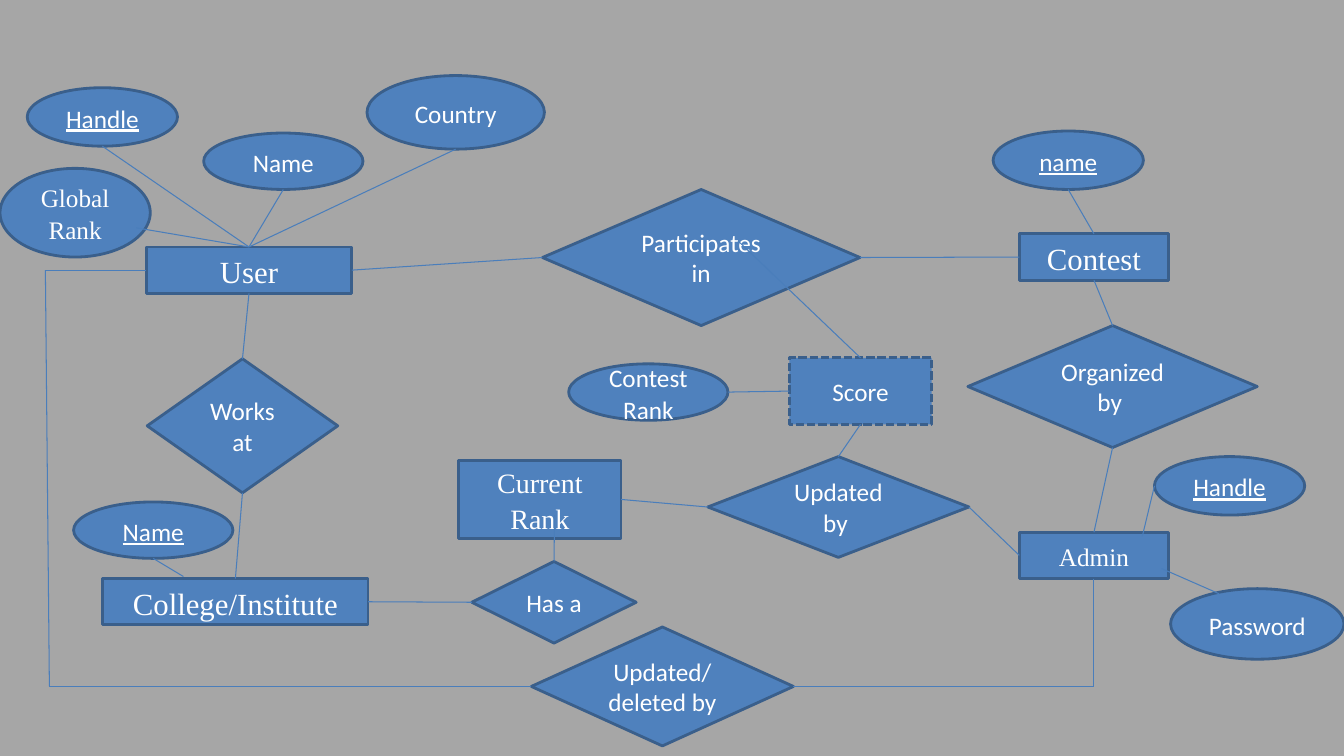
from lxml.etree import SubElement
from pptx import Presentation
from pptx.dml.color import RGBColor as RGB
from pptx.enum.dml import MSO_LINE as DASH
from pptx.enum.shapes import MSO_CONNECTOR as LINK, MSO_SHAPE as FORM
from pptx.enum.text import MSO_ANCHOR as ANCHOR, PP_ALIGN as ALIGN
from pptx.oxml.ns import qn
from pptx.util import Pt

PX = 9144  # 100 px to the inch
COLORS = {"back": "A6A6A6", "fill": "4F81BD", "edge": "3A5F8B",
          "link": "4A7EBB", "text": "FFFFFF"}
SANS, SERIF = "Calibri", "Times New Roman"
TOP, LEFT, BOTTOM, RIGHT = range(4)

# Entities: key, label, box, text size
ENTITIES = [
    ("user", "User", (145, 245, 204, 46), 22),
    ("rank", "Current Rank", (455, 457, 161, 77), 20),
    ("college", "College/Institute", (102, 574, 263, 46), 22),
    ("admin", "Admin", (1011, 528, 148, 46), 18),
    ("contest", "Contest", (1011, 232, 148, 46), 22),
]
# Relations: key, label, box
RELATIONS = [
    ("joins", "Participates in", (538, 188, 315, 135)),
    ("works", "Works at", (146, 356, 189, 133)),
    ("updated", "Updated by ", (702, 453, 259, 100)),
    ("deleted", "Updated/deleted by", (527, 622, 260, 118)),
    ("has", "Has a", (468, 557, 163, 81)),
    ("run", "Organized by ", (960, 323, 287, 121)),
]
# Attributes: key, label, box, is a key, font
ATTRIBUTES = [
    ("user name", "Name", (202, 132, 158, 56), False, SANS),
    ("user handle", "Handle", (27, 87, 149, 58), True, SANS),
    ("country", "Country", (364, 75, 176, 73), False, SANS),
    ("contest name", "name", (985, 130, 149, 58), True, SANS),
    ("college name", "Name", (73, 498, 158, 56), True, SANS),
    ("admin handle", "Handle", (1145, 453, 149, 58), True, SANS),
    ("password", "Password", (1161, 584, 172, 70), False, SANS),
    ("global", "Global Rank", (0, 167, 149, 88), False, SERIF),
    ("place", "Contest Rank", (564, 361, 158, 56), False, SANS),
]
# Each end is a side of a node (key, side) or a point (x, y)
LINKS = [
    (("user handle", BOTTOM), ("user", TOP)),
    (("country", BOTTOM), ("user", TOP)),
    (("user name", BOTTOM), ("user", TOP)),
    ((135, 226), ("user", TOP)),
    (("user", RIGHT), ("joins", LEFT)),
    (("user", BOTTOM), ("works", TOP)),
    (("works", BOTTOM), ("college", TOP)),
    (("college", RIGHT), ("has", LEFT)),
    (("college name", BOTTOM), (182, 572)),
    ((550, 511), ("has", TOP)),
    (("rank", RIGHT), ("updated", LEFT)),
    (("updated", RIGHT), ("admin", LEFT)),
    (("score", BOTTOM), ("updated", TOP)),
    ((732, 239), ("score", TOP)),
    (("place", RIGHT), ("score", LEFT)),
    (("joins", RIGHT), ("contest", LEFT)),
    (("contest name", BOTTOM), ("contest", TOP)),
    (("run", TOP), ("contest", BOTTOM)),
    (("admin", TOP), ("run", BOTTOM)),
    (("admin handle", LEFT), (1133, 532)),
    ((1152, 564), (1209, 589)),
    # Long way round from user to admin
    (("user", LEFT), (45, 268)),
    ((45, 268), (49, 681)),
    (("deleted", LEFT), (49, 681)),
    (("deleted", RIGHT), (1085, 681)),
    (("admin", BOTTOM), (1085, 681)),
]


def color(name):
    return RGB.from_string(COLORS[name])


def add_node(slide, form, label, box, size=18, font=SANS, space=1.0, key=False):
    node = slide.shapes.add_shape(form, *[n * PX for n in box])
    node.shadow.inherit = False
    node.fill.solid()
    node.fill.fore_color.rgb = color("fill")
    node.line.color.rgb = color("edge")
    node.line.width = Pt(2)
    frame = node.text_frame
    frame.text = label
    frame.word_wrap = True
    frame.vertical_anchor = ANCHOR.MIDDLE
    para = frame.paragraphs[0]
    para.alignment = ALIGN.CENTER
    para.line_spacing = space
    style = para.runs[0].font
    style.name, style.size = font, Pt(size)
    style.color.rgb = color("text")
    if key:
        style.underline = True
    return node


def find_spot(nodes, end):
    if end[0] not in nodes:
        return end[0] * PX, end[1] * PX
    node, side = nodes[end[0]], end[1]
    across, down = [(1, 0), (0, 1), (1, 2), (2, 1)][side]
    return (node.left + node.width * across // 2,
            node.top + node.height * down // 2)


def add_link(slide, nodes, start, stop):
    link = slide.shapes.add_connector(
        LINK.STRAIGHT, *find_spot(nodes, start), *find_spot(nodes, stop))
    link.line.color.rgb = color("link")
    link.line.width = Pt(0.75)
    SubElement(link.element.spPr, qn("a:effectLst"))
    for end, join in ((start, link.begin_connect), (stop, link.end_connect)):
        node = nodes.get(end[0])
        # Ovals number their sites differently, so they stay unjoined
        if node is not None and node.auto_shape_type != FORM.OVAL:
            join(node, end[1])


def main():
    deck = Presentation()
    deck.slide_width, deck.slide_height = 1333 * PX, 750 * PX
    slide = deck.slides.add_slide(deck.slide_layouts[6])
    slide.background.fill.solid()
    slide.background.fill.fore_color.rgb = color("back")

    # Nodes
    nodes = {}
    for name, label, box, size in ENTITIES:
        nodes[name] = add_node(slide, FORM.RECTANGLE, label, box, size, SERIF, 1.06)
    for name, label, box in RELATIONS:
        nodes[name] = add_node(slide, FORM.FLOWCHART_DECISION, label, box)
    for name, label, box, key, font in ATTRIBUTES:
        nodes[name] = add_node(slide, FORM.OVAL, label, box, font=font,
                               space=1.07, key=key)
    score = add_node(slide, FORM.RECTANGLE, "Score", (783, 355, 141, 66))
    score.line.dash_style = DASH.SQUARE_DOT
    nodes["score"] = score

    # Links
    for start, stop in LINKS:
        add_link(slide, nodes, start, stop)

    deck.save("out.pptx")


if __name__ == "__main__":
    main()
